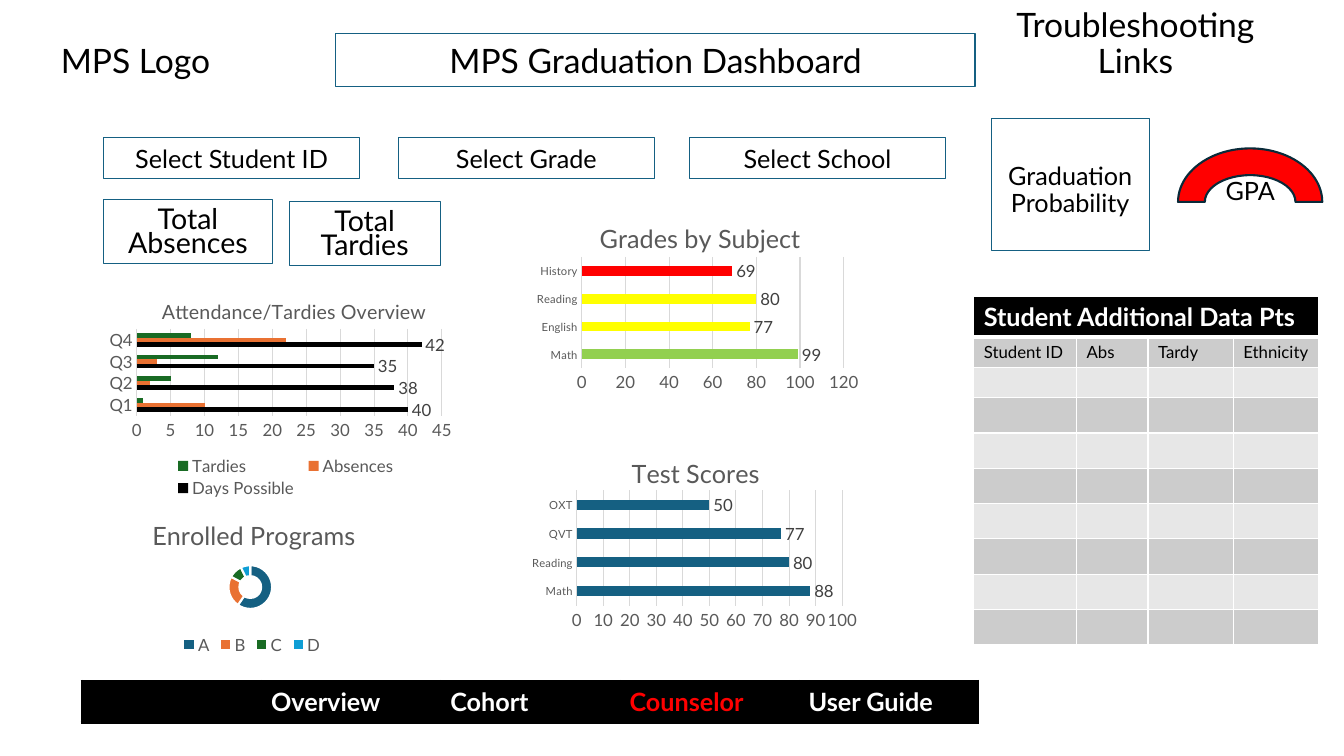
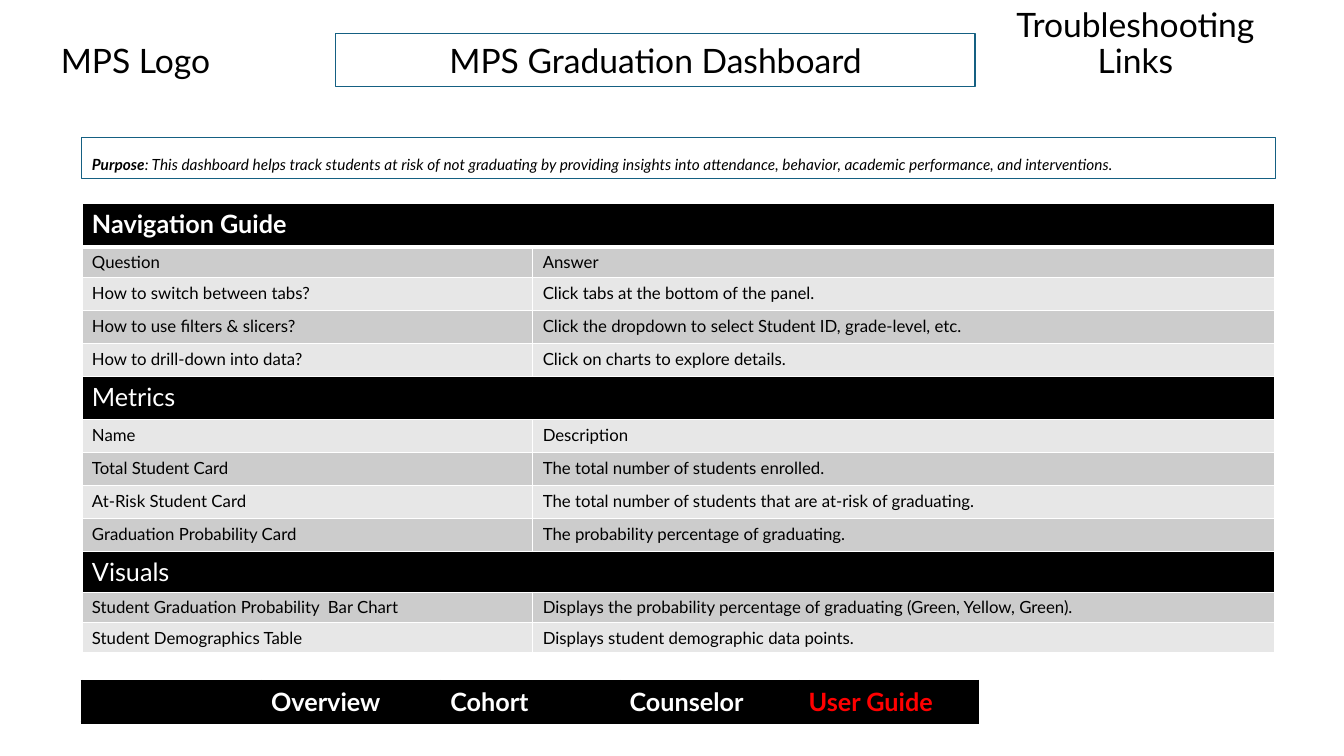
from dataclasses import dataclass
from typing import NamedTuple, Optional

from lxml import etree
from pptx import Presentation
from pptx.chart.data import CategoryChartData
from pptx.dml.color import RGBColor
from pptx.enum.chart import XL_CHART_TYPE as Kind, XL_LABEL_POSITION as LabelPos
from pptx.enum.chart import XL_LEGEND_POSITION as LegendPos, XL_TICK_MARK as Tick
from pptx.enum.shapes import MSO_SHAPE as Preset
from pptx.enum.text import MSO_ANCHOR as Anchor, PP_ALIGN as Align
from pptx.oxml.ns import qn
from pptx.util import Pt

# Shared look
FONT = "Lato"
BLACK = RGBColor(0x00, 0x00, 0x00)
WHITE = RGBColor(0xFF, 0xFF, 0xFF)
RED = RGBColor(0xFF, 0x00, 0x00)
YELLOW = RGBColor(0xFF, 0xFF, 0x00)
LIME = RGBColor(0x92, 0xD0, 0x50)
TEAL = RGBColor(0x15, 0x60, 0x82)
ORANGE = RGBColor(0xE9, 0x71, 0x32)
GREEN = RGBColor(0x19, 0x6B, 0x24)
SKY = RGBColor(0x0F, 0x9E, 0xD5)
ARC_EDGE = RGBColor(0x09, 0x2A, 0x39)
BAND_DARK = RGBColor(0xCC, 0xCC, 0xCC)
BAND_LIGHT = RGBColor(0xE7, 0xE7, 0xE7)
LABEL_GREY = RGBColor(0x40, 0x40, 0x40)
AXIS_GREY = RGBColor(0x59, 0x59, 0x59)
GRID_GREY = RGBColor(0xD9, 0xD9, 0xD9)

TABS = ("", "Overview", "Cohort", "Counselor", "User Guide")


class Box(NamedTuple):
    left: float
    top: float
    width: float
    height: float

    def pts(self) -> list:
        return [Pt(length) for length in self]


@dataclass
class Card:
    text: str
    box: Box
    size: float = 18
    spacing: float = 0.9
    outlined: bool = True
    bottom_inset: float = 3.6


@dataclass
class Series:
    name: str
    values: tuple
    color: RGBColor = TEAL
    points: tuple = ()
    labelled: bool = True


@dataclass
class Panel:
    title: str
    box: Box
    categories: tuple
    series: tuple
    title_at: tuple
    plot_at: tuple
    axis_max: Optional[int] = None
    axis_step: Optional[int] = None
    kind: Kind = Kind.BAR_CLUSTERED
    title_size: float = 18
    category_size: float = 8
    legend: bool = False
    legend_at: tuple = ()


class Row(NamedTuple):
    height: float
    texts: tuple  # a single text spans the whole row as a section heading


# Text and cards
def style(font, size: float, color: RGBColor, bold: bool = False, italic: bool = False) -> None:
    font.name, font.size, font.bold, font.italic = FONT, Pt(size), bold, italic
    font.color.rgb = color


def write(frame, text: str, *, size: float = 18, color: RGBColor = BLACK, bold: bool = False,
          italic: bool = False, align: Align = Align.LEFT, spacing: Optional[float] = None) -> None:
    paragraph = frame.paragraphs[0]
    paragraph.alignment = align
    paragraph.line_spacing = spacing
    run = paragraph.add_run()
    run.text = text
    style(run.font, size, color, bold, italic)


def outline(slide, box: Box, preset: Preset = Preset.RECTANGLE, color: RGBColor = TEAL,
            weight: float = 0.75):
    shape = slide.shapes.add_shape(preset, *box.pts())
    shape.shadow.inherit = False
    shape.fill.background()
    shape.line.color.rgb = color
    shape.line.width = Pt(weight)
    return shape


def draw_card(slide, card: Card) -> None:
    shape = outline(slide, card.box) if card.outlined else slide.shapes.add_textbox(*card.box.pts())
    frame = shape.text_frame
    frame.word_wrap = True
    frame.vertical_anchor = Anchor.BOTTOM
    frame.margin_bottom = Pt(card.bottom_inset)
    write(frame, card.text, size=card.size, align=Align.CENTER, spacing=card.spacing)


# Tables
def paint(cell, fill: RGBColor, border: RGBColor, weight: float = 1, bottom: float = 1) -> None:
    cell.fill.solid()
    cell.fill.fore_color.rgb = fill
    for place, side in enumerate("LRTB"):
        width = bottom if side == "B" else weight
        line = etree.Element(qn(f"a:ln{side}"), w=str(Pt(width)))
        solid = etree.SubElement(line, qn("a:solidFill"))
        etree.SubElement(solid, qn("a:srgbClr"), val=str(border))
        cell._tc.get_or_add_tcPr().insert(place, line)


def new_table(slide, left: float, top: float, columns: list, heights: list):
    box = Box(left, top, sum(columns), sum(heights))
    table = slide.shapes.add_table(len(heights), len(columns), *box.pts()).table
    table.first_row = table.horz_banding = False
    for column, width in zip(table.columns, columns):
        column.width = Pt(width)
    for row, height in zip(table.rows, heights):
        row.height = Pt(height)
    return table


def draw_banded(slide, left: float, top: float, columns: list, rows: list):
    table = new_table(slide, left, top, columns, [row.height for row in rows])
    for r, row in enumerate(rows):
        heading = len(row.texts) == 1
        fill = BLACK if heading else BAND_DARK if r % 2 else BAND_LIGHT
        for c in range(len(columns)):
            cell = table.cell(r, c)
            paint(cell, fill, WHITE, bottom=1 if r else 3)
            if c < len(row.texts):
                write(cell.text_frame, row.texts[c], size=18 if heading else 12,
                      color=WHITE if heading else BLACK, bold=r == 0)
            elif not heading:
                cell.margin_top = cell.margin_bottom = 0
        if heading:
            table.cell(r, 0).merge(table.cell(r, len(columns) - 1))
    return table


# Header and tab bar of every slide
def draw_frame(slide, active: str) -> None:
    draw_card(slide, Card("MPS Graduation Dashboard", Box(240, 24, 456.5, 37.5), 24))
    draw_card(slide, Card("MPS Logo", Box(28, 24, 137.5, 37.5), 24, outlined=False))
    draw_card(slide, Card("Troubleshooting Links", Box(695.5, 24, 231, 37.5), 24, outlined=False))
    tab_bar = new_table(slide, 58.5, 486.5, [128] * len(TABS), [29.5])
    for c, tab in enumerate(TABS):
        cell = tab_bar.cell(0, c)
        paint(cell, BLACK, BLACK, weight=2, bottom=2)
        if tab:
            write(cell.text_frame, tab, color=RED if tab == active else WHITE, bold=True)


# Charts
def place(parent, index: int, at: tuple, inner: bool = False) -> None:
    """Give a chart part a fixed place, in fractions of the chart."""
    for old in parent.findall(qn("c:layout")):
        parent.remove(old)
    layout = etree.Element(qn("c:layout"))
    manual = etree.SubElement(layout, qn("c:manualLayout"))
    settings = [("layoutTarget", "inner")] if inner else []
    settings += [("xMode", "edge"), ("yMode", "edge"), *zip("xywh", map(str, at))]
    for tag, value in settings:
        etree.SubElement(manual, qn(f"c:{tag}"), val=value)
    parent.insert(index, layout)


def format_axes(chart, panel: Panel) -> None:
    categories, values = chart.category_axis, chart.value_axis
    for axis, size in ((categories, panel.category_size), (values, 12)):
        axis.major_tick_mark = axis.minor_tick_mark = Tick.NONE
        style(axis.tick_labels.font, size, AXIS_GREY)
    categories.has_major_gridlines = False
    categories.format.line.color.rgb = GRID_GREY
    categories.format.line.width = Pt(0.75)
    values.format.line.fill.background()
    values.major_gridlines.format.line.color.rgb = GRID_GREY
    values.major_gridlines.format.line.width = Pt(0.75)
    values.minimum_scale, values.maximum_scale = 0, panel.axis_max
    values.major_unit = panel.axis_step


def draw_panel(slide, panel: Panel) -> None:
    data = CategoryChartData()
    data.categories = panel.categories
    for series in panel.series:
        data.add_series(series.name, series.values)
    chart = slide.shapes.add_chart(panel.kind, *panel.box.pts(), data).chart
    style(chart.font, 10, BLACK)
    chart.has_title = True
    write(chart.chart_title.text_frame, panel.title, size=panel.title_size, color=AXIS_GREY,
          align=Align.CENTER)
    place(chart.chart_title._element, 1, panel.title_at)
    plot_area = chart._chartSpace.find(".//" + qn("c:plotArea"))
    place(plot_area, 0, panel.plot_at, inner=True)
    chart.has_legend = panel.legend
    if panel.legend:
        chart.legend.position = LegendPos.BOTTOM
        chart.legend.include_in_layout = False
        style(chart.legend.font, 12, AXIS_GREY)
        if panel.legend_at:
            place(chart.legend._element, 1, panel.legend_at)

    plot = chart.plots[0]
    is_bar = panel.kind == Kind.BAR_CLUSTERED
    plot.vary_by_categories = not is_bar
    if is_bar:
        plot.gap_width = 182
        format_axes(chart, panel)
    else:
        plot_area.find(".//" + qn("c:holeSize")).set("val", "75")
    for drawn, series in zip(plot.series, panel.series):
        drawn.format.fill.solid()
        drawn.format.fill.fore_color.rgb = series.color
        for i, color in enumerate(series.points):
            point = drawn.points[i].format
            point.fill.solid()
            point.fill.fore_color.rgb = color
            if not is_bar:
                point.line.color.rgb = WHITE
                point.line.width = Pt(1.5)
        if series.labelled:
            labels = drawn.data_labels
            labels.show_value = True
            labels.position = LabelPos.OUTSIDE_END
            style(labels.font, 12, LABEL_GREY)


# Content
COUNSELOR_CARDS = [
    *(Card(text, Box(left, 98, 183, 29.5)) for text, left in
      (("Select Student ID", 74), ("Select Grade", 284.5), ("Select School", 492.5))),
    Card("Graduation Probability", Box(708, 84.5, 113, 94.5), bottom_inset=23),
    Card("Total Absences", Box(74, 142.5, 120.5, 45.5), 20.4, 0.7),
    Card("Total Tardies", Box(206.5, 144, 108, 45.5), 20.4, 0.7),
]
PANELS = [
    Panel("Attendance/Tardies Overview", Box(72, 200, 256.5, 159), ("Q1", "Q2", "Q3", "Q4"),
          (Series("Days Possible", (40, 38, 35, 42), BLACK),
           Series("Absences", (10, 2, 3, 22), ORANGE, labelled=False),
           Series("Tardies", (1, 5, 12, 8), GREEN, labelled=False)),
          (0.16, 0.06), (0.1, 0.22, 0.85, 0.39), 45, 5, title_size=14, category_size=12,
          legend=True, legend_at=(0.19, 0.78, 0.65, 0.21)),
    Panel("Test Scores", Box(376, 310.5, 240, 142), ("Math", "Reading", "QVT", "OXT"),
          (Series("Series 1", (88, 80, 77, 50)),),
          (0.3, 0.08), (0.15, 0.28, 0.79, 0.58), 100, 10),
    Panel("Grades by Subject", Box(379.5, 141, 240, 142),
          ("Math", "English", "Reading", "History"),
          (Series("Series 1", (99, 77, 80, 69), points=(LIME, YELLOW, YELLOW, RED)),),
          (0.19, 0.09), (0.15, 0.3, 0.78, 0.56), 120, 20),
    Panel("Enrolled Programs", Box(60, 353, 240, 117.5), ("A", "B", "C", "D"),
          (Series("Series 1", (59, 23, 10, 7), points=(TEAL, ORANGE, GREEN, SKY),
                  labelled=False),),
          (0.19, 0.11), (0.43, 0.43, 0.13, 0.27), kind=Kind.DOUGHNUT, legend=True),
]
STUDENT_ROWS = [
    Row(28.8, ("Student Additional Data Pts",)),
    Row(21.6, ("Student ID", "Abs", "Tardy", "Ethnicity")),
    Row(21.6, ()),
    *[Row(25.2, ())] * 7,
]
GUIDE_ROWS = [
    Row(31, ("Navigation Guide",)),
    Row(21.6, ("Question", "Answer")),
    Row(23.6, ("How to switch between tabs?", "Click tabs at the bottom of the panel.")),
    Row(23.6, ("How to use filters & slicers?",
               "Click the dropdown to select Student ID, grade-level, etc.")),
    Row(23.6, ("How to drill-down into data?", "Click on charts to explore details.")),
    Row(31, ("Metrics",)),
    Row(23.6, ("Name", "Description")),
    Row(23.6, ("Total Student Card", "The total number of students enrolled.")),
    Row(23.6, ("At-Risk Student Card",
               "The total number of students that are at-risk of graduating.")),
    Row(23.6, ("Graduation Probability Card", "The probability percentage of graduating.")),
    Row(28.8, ("Visuals",)),
    Row(21.6, ("Student Graduation Probability  Bar Chart",
               "Displays the probability percentage of graduating (Green, Yellow, Green).")),
    Row(21.6, ("Student Demographics Table", "Displays student demographic data points.")),
]


def draw_counselor(slide) -> None:
    draw_frame(slide, "Counselor")
    for card in COUNSELOR_CARDS:
        draw_card(slide, card)
    draw_banded(slide, 695.5, 212, [73.5, 51, 61, 61], STUDENT_ROWS)
    for panel in PANELS:
        draw_panel(slide, panel)
    gauge = outline(slide, Box(841.5, 106, 103, 76.5), Preset.BLOCK_ARC, ARC_EDGE, 1.5)
    gauge.fill.solid()
    gauge.fill.fore_color.rgb = RED
    gauge.text_frame.vertical_anchor = Anchor.MIDDLE
    gauge.text_frame.margin_top = Pt(25.2)
    write(gauge.text_frame, "GPA", align=Align.CENTER)


def draw_user_guide(slide) -> None:
    draw_frame(slide, "User Guide")
    purpose = outline(slide, Box(58.5, 98, 852.5, 29.5)).text_frame
    purpose.word_wrap = True
    purpose.vertical_anchor = Anchor.BOTTOM
    write(purpose, "Purpose", size=11, bold=True, italic=True, spacing=0.9)
    write(purpose, ": This dashboard helps track students at risk of not graduating by providing "
          "insights into attendance, behavior, academic performance, and interventions.",
          size=11, italic=True, spacing=0.9)
    draw_banded(slide, 58.5, 145.5, [322, 530], GUIDE_ROWS)


def main() -> None:
    deck = Presentation()
    deck.slide_width, deck.slide_height = Pt(960), Pt(540)
    for draw in (draw_counselor, draw_user_guide):
        draw(deck.slides.add_slide(deck.slide_layouts[6]))
    deck.save("out.pptx")


if __name__ == "__main__":
    main()
